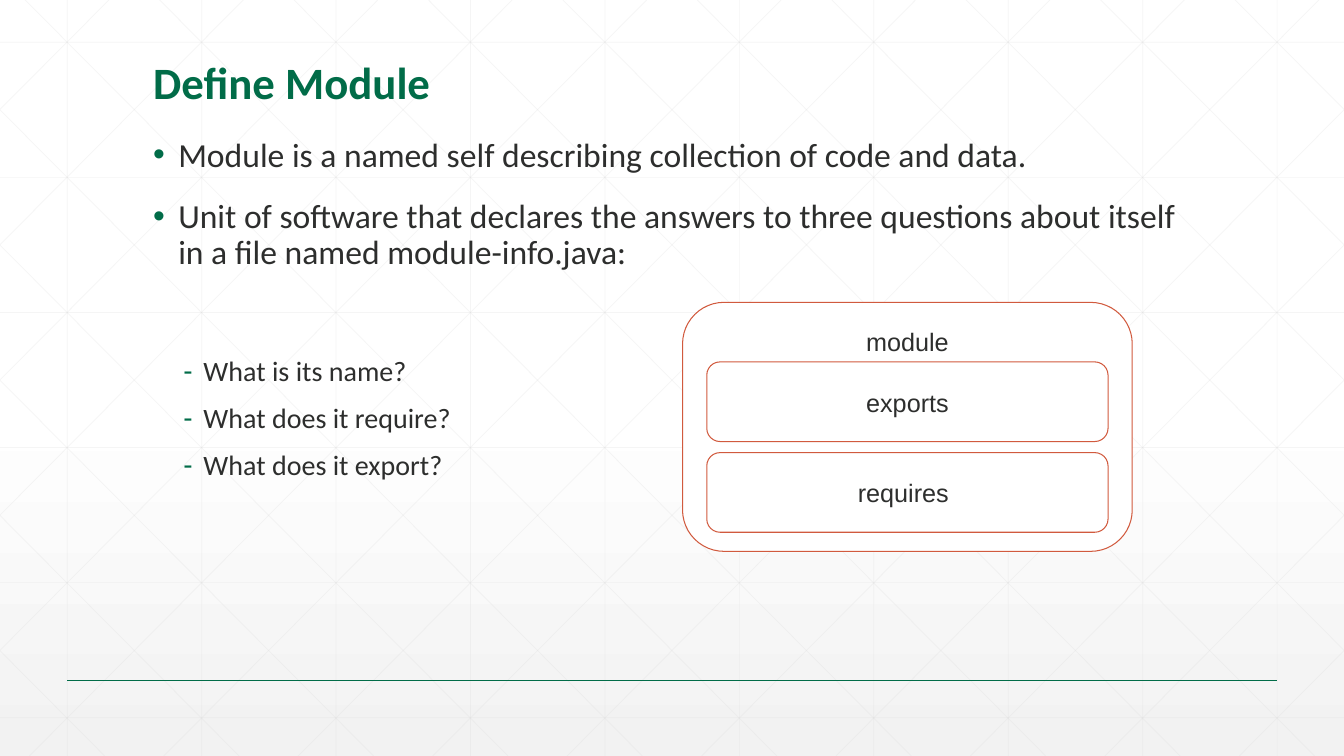
from copy import deepcopy
from lxml.etree import SubElement
from pptx import Presentation
from pptx.dml.color import RGBColor
from pptx.enum.shapes import MSO_CONNECTOR, MSO_SHAPE
from pptx.enum.text import MSO_ANCHOR, PP_ALIGN
from pptx.oxml.ns import qn
from pptx.util import Inches, Pt

COLORS = {"green": "016C48", "ink": "2D2E2D", "rust": "D15A3E",
          "white": "FFFFFF", "mist": "F2F2F2", "lattice": "D9D9D9"}
WIDTH, HEIGHT = 13.33, 7.5
CELL = 4 / 3
DIAGONAL_RISE = 1.006


def color(name):
    """Return the named colour."""
    return RGBColor.from_string(COLORS[name])


def add_line(slide, start, end, hue, weight, opacity=100):
    """Draw a straight line without a shadow."""
    rule = slide.shapes.add_connector(
        MSO_CONNECTOR.STRAIGHT, *(Inches(n) for n in (*start, *end)))
    rule.line.color.rgb = color(hue)
    rule.line.width = Pt(weight)
    if opacity < 100:
        for tint in rule.element.spPr.iter(qn("a:srgbClr")):
            SubElement(tint, qn("a:alpha"), val=str(opacity * 1000))
    SubElement(rule.element.spPr, qn("a:effectLst"))


def add_text_frame(slide, box, wrap=True):
    """Add a text box and return its frame."""
    frame = slide.shapes.add_textbox(*map(Inches, box)).text_frame
    frame.word_wrap = wrap
    return frame


def add_run(paragraph, words, size, font="Calibri", hue="ink", bold=False):
    """Append one styled run."""
    run = paragraph.add_run()
    run.text = words
    run.font.size = Pt(size)
    run.font.name = font
    run.font.bold = bold
    run.font.color.rgb = color(hue)


def set_bullet(paragraph, mark, margin, hanging):
    """Give a paragraph a green bullet and a hanging indent."""
    props = paragraph._p.get_or_add_pPr()
    props.set("marL", str(Inches(margin)))
    props.set("indent", str(-Inches(hanging)))
    tint = SubElement(props, qn("a:buClr"))
    SubElement(tint, qn("a:srgbClr"), val=COLORS["green"])
    SubElement(props, qn("a:buFont"), typeface="Arial")
    SubElement(props, qn("a:buChar"), char=mark)


def paint_background(slide):
    """Fade the background from white to pale grey."""
    fill = slide.background.fill
    fill.gradient()
    fill.gradient_angle = 270
    first = next(slide.element.iter(qn("a:gs")))
    first.addnext(deepcopy(first))
    fades = ((0, "white"), (0.53, "white"), (1, "mist"))
    for stop, (position, hue) in zip(fill.gradient_stops, fades):
        stop.position = position
        stop.color.rgb = color(hue)


def draw_lattice(slide, width, height):
    """Cover the slide with a square lattice and mirrored diagonals."""
    segments = [((x, 0), (x, height)) for x in (CELL * (i + 0.5) for i in range(10))]
    segments += [((0, y), (width, y)) for y in (0.42 + 1.34 * i for i in range(6))]
    for i in range(-5, 10):
        crossing = 0.25 + CELL * i
        left = max(crossing, 0)
        right = min(crossing + height / DIAGONAL_RISE, width)
        top, bottom = ((x - crossing) * DIAGONAL_RISE for x in (left, right))
        segments.append(((left, top), (right, bottom)))
        segments.append(((width - left, top), (width - right, bottom)))
    for start, end in segments:
        add_line(slide, start, end, "lattice", 0.5, 25)


def add_title(slide, box, words):
    """Place the bold heading at the foot of its box."""
    frame = add_text_frame(slide, box)
    frame.vertical_anchor = MSO_ANCHOR.BOTTOM
    heading = frame.paragraphs[0]
    heading.line_spacing = 0.9
    add_run(heading, words, 32, hue="green", bold=True)


def add_body(slide, box, statements, questions):
    """List the statements, then the indented questions."""
    frame = add_text_frame(slide, box)
    items = [(words, 24, 18, ("•", 0.25, 0.25)) for words in statements]
    items += [(words, 20, 12 if i else 61, ("-", 0.5, 0.2))
              for i, words in enumerate(questions)]
    for i, (words, size, gap, bullet) in enumerate(items):
        item = frame.add_paragraph() if i else frame.paragraphs[0]
        item.line_spacing = 0.9
        item.space_before = Pt(gap)
        set_bullet(item, *bullet)
        add_run(item, words, size)


def add_panel(slide, box):
    """Draw a white rounded panel with a rust outline."""
    panel = slide.shapes.add_shape(
        MSO_SHAPE.FLOWCHART_ALTERNATE_PROCESS, *map(Inches, box))
    panel.shadow.inherit = False
    panel.fill.solid()
    panel.fill.fore_color.rgb = color("white")
    panel.line.color.rgb = color("rust")
    panel.line.width = Pt(0.75)


def add_label(slide, center, top, width, words):
    """Centre a one-line label on the given point."""
    frame = add_text_frame(slide, (center - width / 2, top, width, 0.4), wrap=False)
    frame.paragraphs[0].alignment = PP_ALIGN.CENTER
    add_run(frame.paragraphs[0], words, 18, font="Arial")


def add_module_diagram(slide, box):
    """Draw the module with its exports and requires sections."""
    left, top, width, height = box
    center, margin, step = left + width / 2, 0.24, 0.9
    add_panel(slide, box)
    add_label(slide, center, top + 0.19, 1.71, "module name")
    sections = (("exports", 1.02, 0), ("requires", 1.1, -0.04))
    for i, (words, label_width, shift) in enumerate(sections):
        section_top = top + 0.59 + step * i
        add_panel(slide, (left + margin, section_top, width - 2 * margin, 0.79))
        add_label(slide, center + shift, section_top + 0.2, label_width, words)


def build_module_slide(deck):
    """Assemble the slide that defines a module."""
    slide = deck.slides.add_slide(deck.slide_layouts[6])
    paint_background(slide)
    draw_lattice(slide, WIDTH, HEIGHT)
    add_line(slide, (CELL / 2, 0.9 * HEIGHT), (WIDTH - CELL / 2, 0.9 * HEIGHT), "green", 1)
    add_title(slide, (1.42, 0.19, 10.5, 0.94), "Define Module")
    add_body(
        slide, (1.42, 1.32, 10.5, 5.22),
        ("Module is a named self describing collection of code and data.",
         "Unit of software that declares the answers to three questions "
         "about itself in a file named module-info.java:"),
        ("What is its name?", "What does it require?", "What does it export?"))
    add_module_diagram(slide, (6.77, 3, 4.46, 2.47))


def main():
    """Build and save the deck."""
    deck = Presentation()
    deck.slide_width, deck.slide_height = Inches(WIDTH), Inches(HEIGHT)
    build_module_slide(deck)
    deck.save("out.pptx")


if __name__ == "__main__":
    main()
